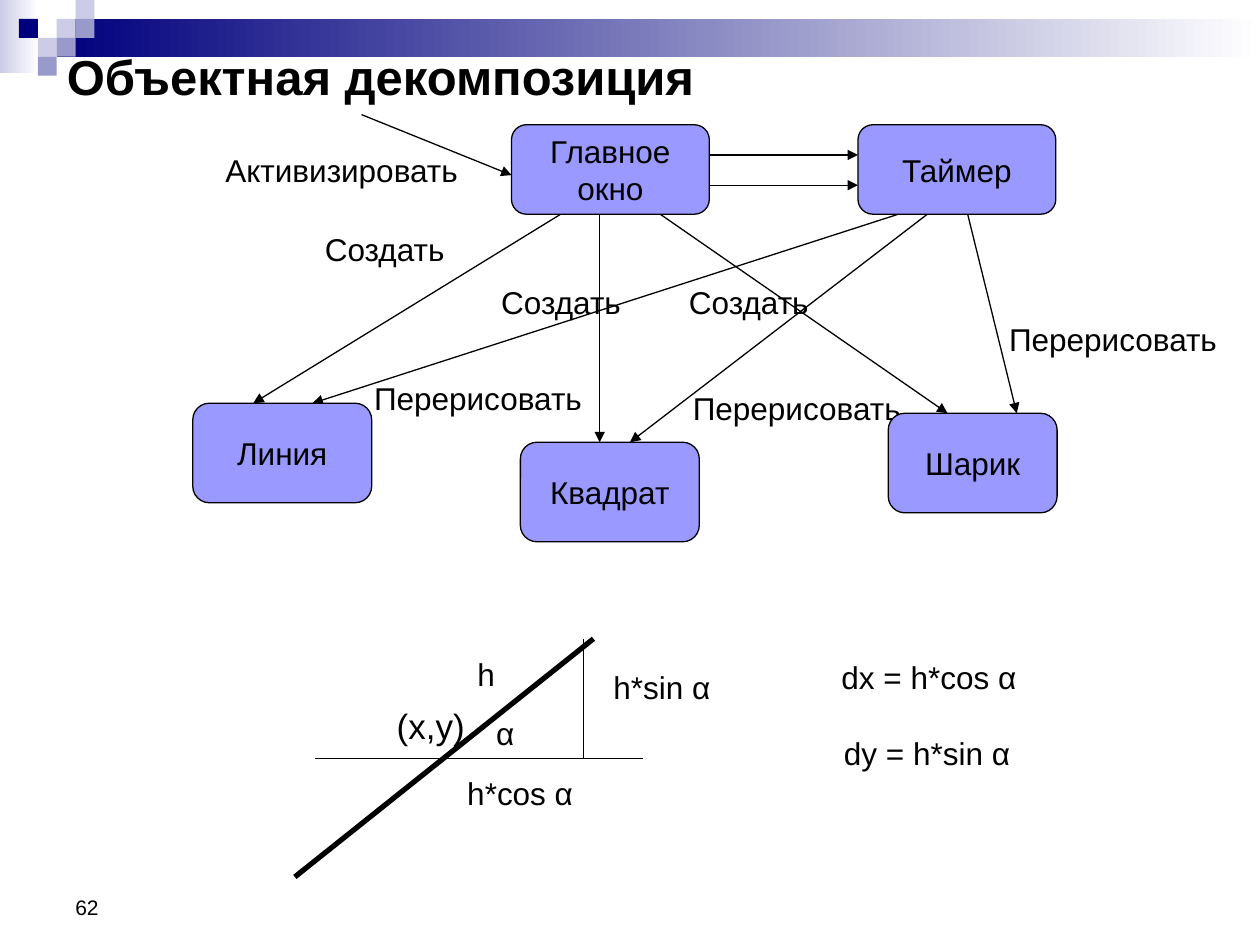
from lxml.etree import SubElement
from pptx import Presentation
from pptx.dml.color import RGBColor
from pptx.enum.shapes import MSO_CONNECTOR as Connector, MSO_SHAPE as Shape
from pptx.enum.text import MSO_ANCHOR as Anchor, MSO_AUTO_SIZE as AutoSize, PP_ALIGN as Align
from pptx.oxml.ns import qn
from pptx.util import Pt

PX = 9144
BLACK, NAVY, LILAC, MAUVE, VIOLET = "000000", "00007D", "CCCCE6", "9999CC", "9999FF"


def color(value):
    return RGBColor.from_string(value)


def place(box, x, y, w, h):
    return [v * PX for v in (box[0] + x, box[1] + y, w, h)]


def set_all(target, values):
    for name, value in values.items():
        setattr(target, name, value)


def write(tf, text, size=18, bold=False, align=Align.LEFT):
    tf.text = text
    for p in tf.paragraphs:
        p.alignment = align
        set_all(p.font, {"name": "Arial", "size": Pt(size), "bold": bold})
        p.font.color.rgb = color(BLACK)


def add_block(s, box, rect, *fills):
    sp = s.shapes.add_shape(Shape.RECTANGLE, *place(box, *rect))
    sp.shadow.inherit = False
    sp.line.fill.background()
    if len(fills) == 1:
        sp.fill.solid()
        sp.fill.fore_color.rgb = color(fills[0])
    else:
        sp.fill.gradient()
        sp.fill.gradient_angle = 0
        for stop, fill, position in zip(sp.fill.gradient_stops, fills, (0, 1)):
            stop.color.rgb = color(fill)
            stop.position = position


def add_label(s, box, rect, text, size=18):
    tf = s.shapes.add_textbox(*place(box, *rect)).text_frame
    set_all(tf, {"word_wrap": False, "auto_size": AutoSize.SHAPE_TO_FIT_TEXT})
    write(tf, text, size)


def add_node(s, box, rect, text):
    sp = s.shapes.add_shape(Shape.ROUNDED_RECTANGLE, *place(box, *rect))
    sp.shadow.inherit = False
    sp.fill.solid()
    sp.fill.fore_color.rgb = color(VIOLET)
    sp.line.color.rgb = color(BLACK)
    sp.line.width = Pt(0.75)
    set_all(sp.text_frame, {"word_wrap": False, "vertical_anchor": Anchor.MIDDLE})
    write(sp.text_frame, text, align=Align.CENTER)


def add_line(s, box, ends, width=0.75, arrow=False):
    line = s.shapes.add_connector(Connector.STRAIGHT, *place(box, *ends[:2], 0, 0)[:2],
                                  *place(box, *ends[2:], 0, 0)[:2])
    line.line.color.rgb = color(BLACK)
    line.line.width = Pt(width)
    if arrow:
        SubElement(line.line._get_or_add_ln(), qn("a:tailEnd"), type="triangle")
    SubElement(line._element.spPr, qn("a:effectLst"))


def build_header(s, box):
    add_block(s, box, (0, 0, 31, 58), LILAC, "FFFFFF")
    add_block(s, box, (45, 15, 955, 30), NAVY, "FFFFFF")
    for col, row, fill in [(3, 1, LILAC), (4, 0, LILAC), (4, 1, MAUVE), (2, 2, LILAC),
                           (1, 1, NAVY), (3, 2, MAUVE), (2, 3, MAUVE)]:
        add_block(s, box, (15 * col, 15 * row, 15, 15), fill)
    title = s.shapes.title
    left, top, width, height = place(box, 43, 36, 930, 48)
    set_all(title, {"left": left, "top": top, "width": width, "height": height})
    set_all(title.text_frame, {"vertical_anchor": Anchor.MIDDLE, "word_wrap": True,
                               "auto_size": AutoSize.NONE})
    write(title.text_frame, "Объектная декомпозиция", 28, True)


def build_objects(s, box):
    for ends in [(137, 1, 256, 49), (295, 80, 51, 230), (563, 80, 98, 230),
                 (326, 80, 326, 261), (586, 80, 350, 261), (374, 80, 602, 238),
                 (618, 80, 657, 238), (413, 33, 531, 33), (413, 57, 531, 57)]:
        add_line(s, box, ends, arrow=True)
    for x, y, w, text in [(19, 25, 205, "Активизировать"), (98, 88, 116, "Создать"),
                          (238, 130, 116, "Создать"), (387, 130, 116, "Создать"),
                          (137, 206, 185, "Перерисовать"), (390, 214, 185, "Перерисовать"),
                          (641, 159, 185, "Перерисовать")]:
        add_label(s, box, (x, y, w, 40), text)
    for x, y, w, h, text in [(256, 9, 157, 71, "Главное\nокно"), (531, 9, 157, 71, "Таймер"),
                             (3, 230, 142, 79, "Линия"), (263, 261, 142, 79, "Квадрат"),
                             (555, 238, 134, 79, "Шарик")]:
        add_node(s, box, (x, y, w, h), text)


def build_geometry(s, box):
    add_line(s, box, (4, 196, 241, 7), width=3)
    add_line(s, box, (20, 102, 280, 102))
    add_line(s, box, (233, 7, 233, 102))
    for x, y, w, text in [(247, 25, 98, "h*sin α"), (139, 15, 34, "h"),
                          (131, 109, 105, "h*cos α"), (154, 62, 36, "α"),
                          (428, 17, 167, "dx = h*cos α"), (430, 78, 160, "dy = h*sin α")]:
        add_label(s, box, (x, y, w, 40), text)
    add_label(s, box, (75, 54, 74, 44), "(x,y)", 20)


def build_footer(s, box):
    tf = s.shapes.add_textbox(*place(box, 0, 0, 233, 52)).text_frame
    set_all(tf, {"word_wrap": True, "vertical_anchor": Anchor.BOTTOM})
    write(tf, "62", 12)


def main():
    prs = Presentation()
    set_all(prs, {"slide_width": 1000 * PX, "slide_height": 750 * PX})
    s = prs.slides.add_slide(prs.slide_layouts[5])
    build_header(s, (0, 0))
    build_objects(s, (150, 90))
    build_geometry(s, (230, 500))
    build_footer(s, (50, 683))
    prs.save("out.pptx")


if __name__ == "__main__":
    main()
